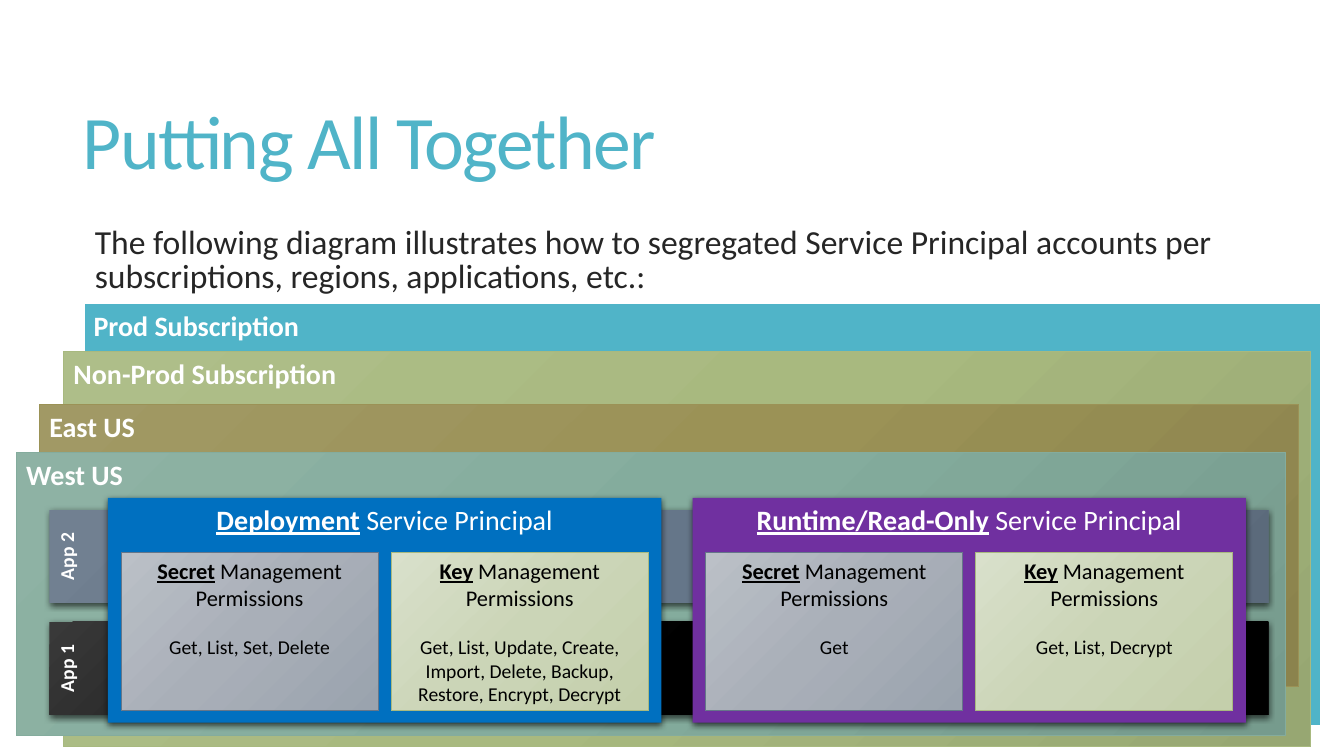
import pptx
import pptx.util
import pptx.dml.color
import pptx.enum.shapes
import pptx.enum.text
import pptx.oxml
import copy

Pt = pptx.util.Pt
color = pptx.dml.color.RGBColor.from_string
align = pptx.enum.text.PP_ALIGN
anchor = pptx.enum.text.MSO_ANCHOR

deck = pptx.Presentation()
deck.slide_width = pptx.util.Inches(13.33)
deck.slide_height = pptx.util.Inches(7.5)
column = deck.slide_width / 100
row = deck.slide_height / 100
slide = deck.slides.add_slide(deck.slide_layouts[5])

SHADOW = (
    '<a:outerShdw xmlns:a="http://schemas.openxmlformats.org/drawingml/2006/main" '
    'blurRad="57150" dist="19050" dir="5400000" algn="ctr" rotWithShape="0">'
    '<a:srgbClr val="000000"><a:alpha val="63000"/></a:srgbClr></a:outerShdw>'
)


def add_panel(left, top, width, height, hues, border=None, border_width=0.75, raised=False):
    panel = slide.shapes.add_shape(
        pptx.enum.shapes.MSO_SHAPE.RECTANGLE,
        round(left * column), round(top * row), round(width * column), round(height * row))
    panel.shadow.inherit = False
    if raised:
        effects = panel.element.spPr.xpath("a:effectLst")[0]
        effects.append(pptx.oxml.parse_xml(SHADOW))
    if len(hues) == 1:
        panel.fill.solid()
        panel.fill.fore_color.rgb = color(hues[0])
    else:
        panel.fill.gradient()
        panel.fill.gradient_angle = 315
        first_stop = panel.element.spPr.xpath("a:gradFill/a:gsLst/a:gs")[0]
        first_stop.addnext(copy.deepcopy(first_stop))
        for stop, position, hue in zip(panel.fill.gradient_stops, (0, 0.5, 1), hues):
            stop.position = position
            stop.color.rgb = color(hue)
    if border:
        panel.line.color.rgb = color(border)
        panel.line.width = Pt(border_width)
    else:
        panel.line.fill.background()
    panel.text_frame.vertical_anchor = anchor.TOP
    return panel


def write(paragraph, size, hue, strong="", plain="", underline=False, alignment=align.CENTER):
    paragraph.alignment = alignment
    for wording, is_strong in ((strong, True), (plain, False)):
        if wording:
            run = paragraph.add_run()
            run.text = wording
            run.font.name = "Calibri"
            run.font.size = Pt(size)
            run.font.color.rgb = color(hue)
            run.font.bold = is_strong
            run.font.underline = is_strong and underline


heading = slide.shapes.title
heading.left, heading.top = round(5.4 * column), round(7.33 * row)
heading.width, heading.height = round(88.35 * column), round(24.13 * row)
heading.text_frame.auto_size = pptx.enum.text.MSO_AUTO_SIZE.NONE
heading.text_frame.vertical_anchor = anchor.MIDDLE
heading_line = heading.text_frame.paragraphs[0]
write(heading_line, 54, "50B4C8", plain="Putting All Together", alignment=align.LEFT)
heading_line.line_spacing = 0.85
heading_line.runs[0].font._element.set("spc", "-120")

intro = slide.shapes.add_textbox(
    round(5.55 * column), round(29.33 * row), round(88.2 * column), round(10.8 * row))
intro.text_frame.word_wrap = True
intro.text_frame.margin_left = round(1.5 * column)
intro_line = intro.text_frame.paragraphs[0]
write(intro_line, 24, "262626", alignment=align.LEFT,
      plain="The following diagram illustrates how to segregated Service Principal accounts "
            "per subscriptions, regions, applications, etc.:")
intro_line.line_spacing = 0.85

scopes = [
    ("Prod Subscription", 6.22, 40.13, 92.1, 55.87, ["50B4C8"], "FFFFFF", 1.5),
    ("Non-Prod Subscription", 4.73, 46.53, 92.78, 52.27, ["AEBE89", "A8B97F", "97A772"], "A8B97F", 0.75),
    ("East US", 2.93, 53.47, 93.68, 37.33, ["A19965", "9B9256", "8B834D"], "9B9256", 0.75),
    ("West US", 1.2, 59.87, 94.43, 37.47, ["8EB2A4", "84AC9D", "769B8D"], "84AC9D", 0.75),
]
for scope, *look in scopes:
    panel = add_panel(*look)
    write(panel.text_frame.paragraphs[0], 20, "FFFFFF", scope, alignment=align.LEFT)

apps = [
    ("App 1", 82.27, ["393939", "000000", "000000"]),
    ("App 2", 67.47, ["718091", "657689", "5B6A7B"]),
]
for app, top, hues in apps:
    band = add_panel(3.68, top, 90.68, 12.27, hues, raised=True)
    band.text_frame._txBody.bodyPr.set("vert", "vert270")
    write(band.text_frame.paragraphs[0], 14, "FFFFFF", app)

card_looks = [
    ("Secret", ["BBC0C7", "A9AFB8", "9AA3AE"], "657689"),
    ("Key", ["D9E0CB", "CBD5B7", "C4CFAB"], "A8B97F"),
]
principals = [
    ("Deployment", "0070C0", [
        "Get, List, Set, Delete",
        "Get, List, Update, Create, Import, Delete, Backup, Restore, Encrypt, Decrypt"]),
    ("Runtime/Read-Only", "7030A0", ["Get", "Get, List, Decrypt"]),
]
for principal_index, (principal, hue, grants) in enumerate(principals):
    left = 8.03 + 43.5 * principal_index
    account = add_panel(left, 65.87, 41.18, 29.73, [hue], raised=True)
    write(account.text_frame.paragraphs[0], 20, "FFFFFF", principal, " Service Principal", True)
    for card_index, ((asset, hues, border), grant) in enumerate(zip(card_looks, grants)):
        card = add_panel(left + 0.98 + 20.1 * card_index, 73.07, 19.13, 20.93, hues, border)
        write(card.text_frame.paragraphs[0], 16, "000000", asset, " Management Permissions", True)
        permissions = card.text_frame.add_paragraph()
        permissions.space_before = Pt(17)
        write(permissions, 14, "000000", plain=grant)

deck.save("out.pptx")
